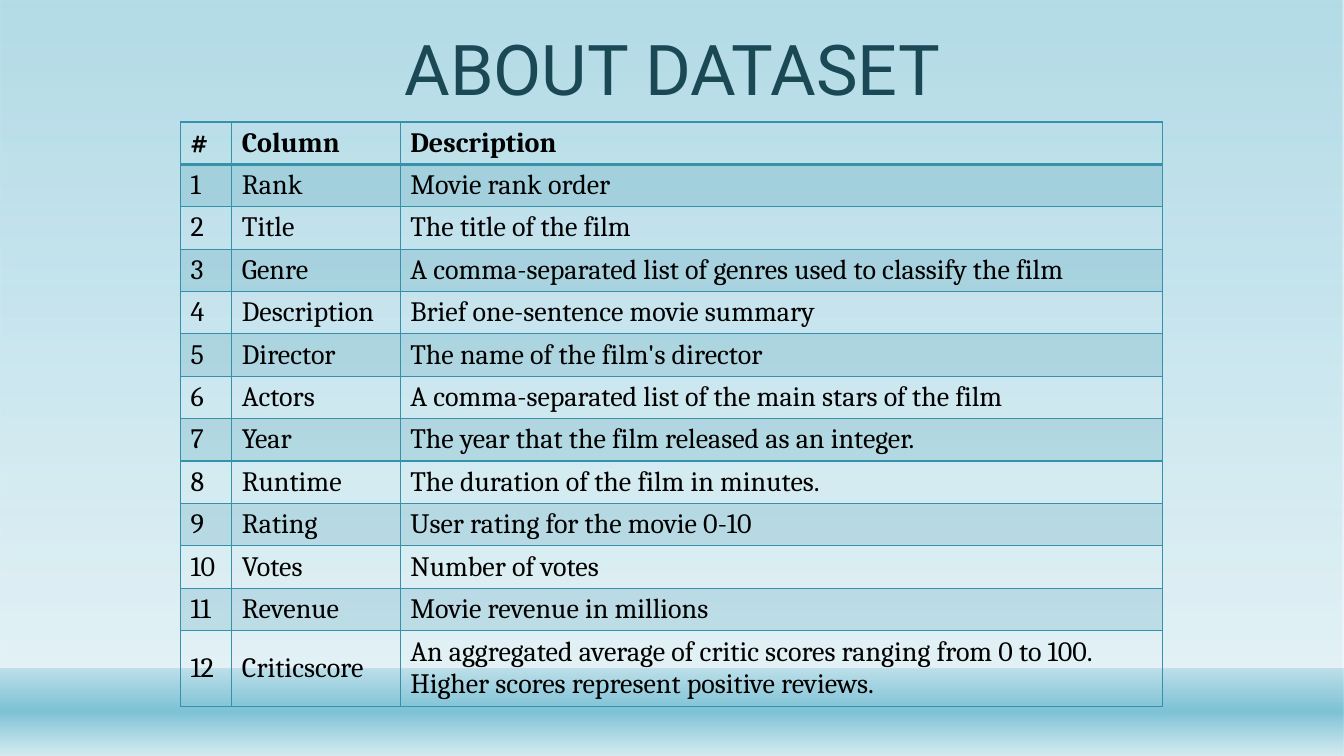
from dataclasses import dataclass

from lxml.etree import SubElement
from pptx import Presentation
from pptx.dml.color import RGBColor
from pptx.enum.shapes import MSO_SHAPE
from pptx.enum.text import MSO_ANCHOR, MSO_AUTO_SIZE, PP_ALIGN
from pptx.oxml import parse_xml
from pptx.oxml.ns import nsdecls, qn
from pptx.util import Inches, Pt


@dataclass(frozen=True)
class Theme:
    sky: str = "7DC2D6"
    mist: str = "D4EBF1"
    accent: str = "3691AA"
    title: str = "1B4855"
    text: str = "000000"
    title_font: str = "Roboto"
    table_font: str = "Cambria"
    title_size: int = 50
    table_size: int = 20


THEME = Theme()

HEADER = ("#", "Column", "Description")
COLUMNS = [
    ("Rank", "Movie rank order"),
    ("Title", "The title of the film"),
    ("Genre", "A comma-separated list of genres used to classify the film"),
    ("Description", "Brief one-sentence movie summary"),
    ("Director", "The name of the film's director"),
    ("Actors", "A comma-separated list of the main stars of the film"),
    ("Year", "The year that the film released as an integer."),
    ("Runtime", "The duration of the film in minutes."),
    ("Rating", "User rating for the movie 0-10"),
    ("Votes", "Number of votes"),
    ("Revenue", "Movie revenue in millions"),
    ("Criticscore", "An aggregated average of critic scores ranging from 0 to 100. "
                    "Higher scores represent positive reviews."),
]
COLUMN_WIDTHS = (0.51, 1.67, 7.56)
ROW_HEIGHT = 0.42
LAST_ROW_HEIGHT = 0.75


def style_font(font, name, size, color, bold=False):
    font.name = name
    font.size = Pt(size)
    font.bold = bold
    font.color.rgb = RGBColor.from_string(color)


def add_gradient_band(page, top, height, stops):
    """Add a full-width band; stops are (position %, colour, opacity %), top to bottom."""
    band = page.shapes.add_shape(MSO_SHAPE.RECTANGLE, 0, Inches(top),
                                 Inches(13.33), Inches(height))
    band.shadow.inherit = False
    band.line.fill.background()
    stop_xml = "".join(
        f'<a:gs pos="{position * 1000}"><a:srgbClr val="{color}">'
        f'<a:alpha val="{opacity * 1000}"/></a:srgbClr></a:gs>'
        for position, color, opacity in stops)
    gradient = parse_xml(
        f'<a:gradFill {nsdecls("a")} rotWithShape="1"><a:gsLst>{stop_xml}</a:gsLst>'
        '<a:lin ang="5400000" scaled="0"/></a:gradFill>')
    band._element.spPr.find(qn("a:prstGeom")).addnext(gradient)


def set_title(page, text):
    title = page.shapes.title
    title.left, title.top = Inches(1.47), Inches(0.32)
    title.width, title.height = Inches(10.4), Inches(0.83)
    frame = title.text_frame
    frame.text = text
    frame.auto_size = MSO_AUTO_SIZE.NONE
    frame.vertical_anchor = MSO_ANCHOR.BOTTOM
    para = frame.paragraphs[0]
    para.alignment = PP_ALIGN.CENTER
    para.line_spacing = 0.9
    style_font(para.font, THEME.title_font, THEME.title_size, THEME.title)


def set_borders(cell, top, bottom):
    """Draw all four cell borders; top and bottom are widths in points."""
    properties = cell._tc.get_or_add_tcPr()
    for side, width in (("L", 1), ("R", 1), ("T", top), ("B", bottom)):
        line = SubElement(properties, qn(f"a:ln{side}"), w=str(Pt(width)))
        fill = SubElement(line, qn("a:solidFill"))
        SubElement(fill, qn("a:srgbClr"), val=THEME.accent)


def tint_cell(cell, opacity):
    cell.fill.solid()
    cell.fill.fore_color.rgb = RGBColor.from_string(THEME.accent)
    color = cell._tc.tcPr.find(qn("a:solidFill")).find(qn("a:srgbClr"))
    SubElement(color, qn("a:alpha"), val=str(opacity * 1000))


def fill_cell(cell, text, row_index):
    is_header = row_index == 0
    cell.text = text
    cell.vertical_anchor = MSO_ANCHOR.TOP if is_header else MSO_ANCHOR.MIDDLE
    style_font(cell.text_frame.paragraphs[0].font, THEME.table_font,
               THEME.table_size, THEME.text, bold=is_header)
    set_borders(cell, top=2 if row_index == 1 else 1, bottom=2 if is_header else 1)
    if row_index % 2:
        tint_cell(cell, 20)
    else:
        cell.fill.background()


def add_dataset_table(page):
    rows = [HEADER] + [(str(number), *entry) for number, entry in enumerate(COLUMNS, 1)]
    heights = [ROW_HEIGHT] * len(COLUMNS) + [LAST_ROW_HEIGHT]
    table = page.shapes.add_table(
        len(rows), len(HEADER), Inches(1.79), Inches(1.21),
        Inches(sum(COLUMN_WIDTHS)), Inches(sum(heights))).table
    table.horz_banding = False
    for column, width in zip(table.columns, COLUMN_WIDTHS):
        column.width = Inches(width)
    for row_index, (row, height, texts) in enumerate(zip(table.rows, heights, rows)):
        row.height = Inches(height)
        for cell, text in zip(row.cells, texts):
            fill_cell(cell, text, row_index)


def main():
    deck = Presentation()
    deck.slide_width, deck.slide_height = Inches(13.33), Inches(7.5)
    page = deck.slides.add_slide(deck.slide_layouts[5])
    add_gradient_band(page, 0, 7.5, [(0, THEME.sky, 58), (88, THEME.mist, 65)])
    add_gradient_band(page, 6.63, 0.87,
                      [(1, THEME.sky, 38), (49, THEME.sky, 100), (100, THEME.mist, 89)])
    set_title(page, "ABOUT DATASET")
    # Bring the title in front of the background bands.
    page.shapes._spTree.append(page.shapes.title._element)
    add_dataset_table(page)
    deck.save("out.pptx")


if __name__ == "__main__":
    main()
